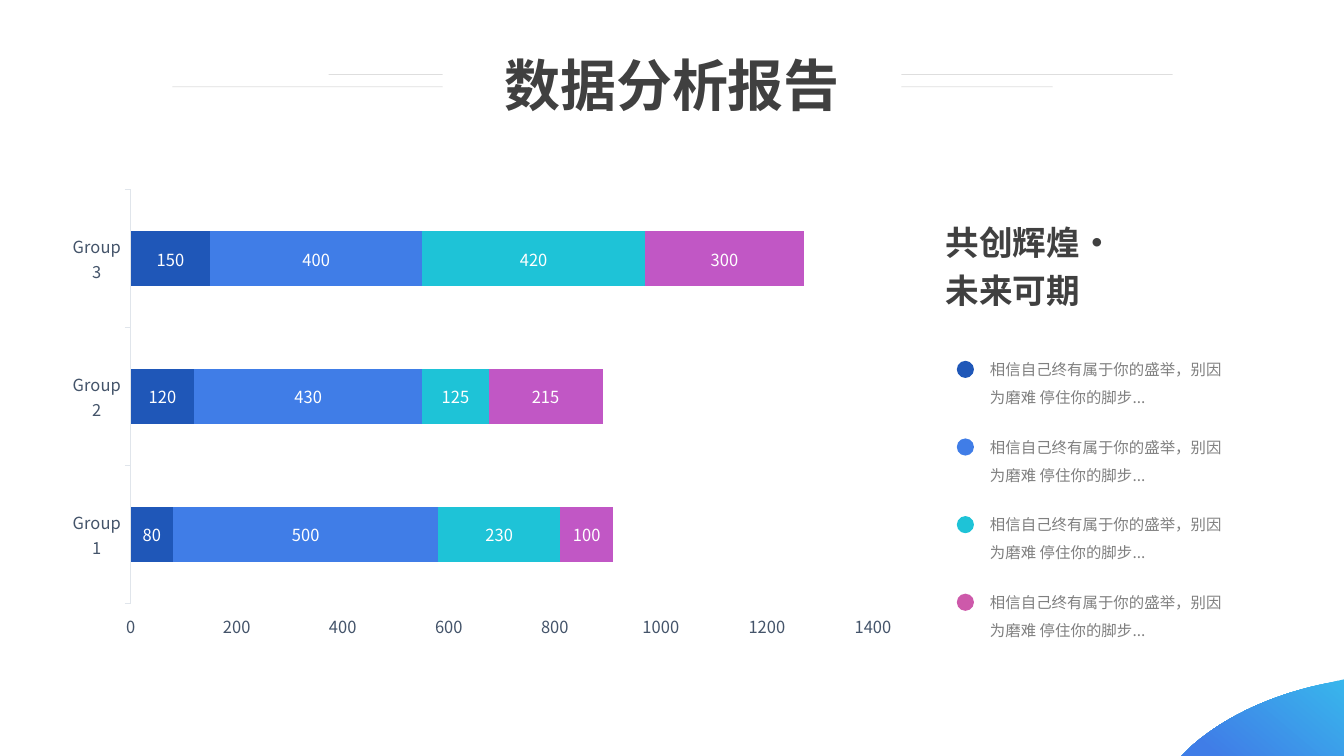
from lxml import etree
from pptx import Presentation
from pptx.chart.data import CategoryChartData
from pptx.dml.color import RGBColor
from pptx.enum.chart import XL_CHART_TYPE as ChartType, XL_LABEL_POSITION as LabelPos
from pptx.enum.chart import XL_TICK_MARK as Tick
from pptx.enum.shapes import MSO_CONNECTOR as Conn, MSO_SHAPE as Shape
from pptx.enum.text import PP_ALIGN as Align
from pptx.oxml import parse_xml
from pptx.oxml.ns import nsdecls, qn
from pptx.util import Inches, Pt

FONT = "Noto Sans CJK SC"
COLORS = {
    "navy": "1F57B8", "blue": "407DE7", "teal": "1EC3D7", "purple": "C157C5",
    "pink": "CD59AA", "sky": "38B6EC", "title": "404040", "body": "808080",
    "axis_text": "44546A", "axis_line": "E0E5EB", "rule": "BFBFBF", "white": "FFFFFF",
}


def rgb(name):
    return RGBColor.from_string(COLORS[name])


def add_text(x, y, w, h, text, size, color, spacing, bold=False, align=Align.LEFT, before=0):
    tf = s.shapes.add_textbox(Inches(x), Inches(y), Inches(w), Inches(h)).text_frame
    tf.word_wrap = True
    tf.text = text
    for i, p in enumerate(tf.paragraphs):
        p.alignment = align
        p.line_spacing = Pt(spacing)
        if i:
            p.space_before = Pt(before)
        for r in p.runs:
            r.font.size, r.font.bold, r.font.name = Pt(size), bold, FONT
            r.font.color.rgb = rgb(color)
            etree.SubElement(r.font._element, qn("a:ea")).set("typeface", FONT)


prs = Presentation()
prs.slide_width, prs.slide_height = Inches(13.33), Inches(7.5)
s = prs.slides.add_slide(prs.slide_layouts[6])

# Corner wave: a Bezier edge sampled as short segments
curve = [(11.82, 7.4), (12.16, 7.1), (12.64, 6.88), (13.2, 6.77)]
edge = []
for step in range(25):
    t = step / 24
    weights = ((1 - t) ** 3, 3 * t * (1 - t) ** 2, 3 * t * t * (1 - t), t ** 3)
    edge.append(tuple(sum(k * pt[axis] for k, pt in zip(weights, curve)) for axis in (0, 1)))
builder = s.shapes.build_freeform(Inches(13.33), Inches(6.74), scale=1.0)
outline = [(13.33, 7.5), (11.72, 7.5)] + edge
builder.add_line_segments([(Inches(x), Inches(y)) for x, y in outline], close=True)
wave = builder.convert_to_shape()
wave.shadow.inherit = False
wave.line.fill.background()
wave.fill.gradient()
wave.fill.gradient_angle = 230
for stop, position, color in zip(wave.fill.gradient_stops, (0, 0.87), ("sky", "blue")):
    stop.position = position
    stop.color.rgb = rgb(color)

# Stacked bar chart
data = CategoryChartData()
data.categories = ["Group 1", "Group 2", "Group 3"]
series_values = [(80, 120, 150), (500, 430, 400), (230, 125, 420), (100, 215, 300)]
for i, values in enumerate(series_values, 1):
    data.add_series(f"Series {i}", values)
chart = s.shapes.add_chart(ChartType.BAR_STACKED, Inches(0.72), Inches(1.79),
                           Inches(8.14), Inches(4.63), data).chart
chart.has_legend = chart.has_title = False
chart.font.name, chart.font.size = FONT, Pt(11.9)
chart.font.color.rgb = rgb("axis_text")
plot = chart.plots[0]
plot.gap_width, plot.overlap, plot.vary_by_categories = 150, 100, False
for series, color in zip(plot.series, ("navy", "blue", "teal", "purple")):
    series.format.fill.solid()
    series.format.fill.fore_color.rgb = rgb(color)
    labels = series.data_labels
    labels.show_value = True
    labels.position = LabelPos.CENTER
    labels.font.name, labels.font.size = FONT, Pt(11.9)
    labels.font.color.rgb = rgb("white")

# Chart axes and plot area
cat_axis, val_axis = chart.category_axis, chart.value_axis
for axis in (cat_axis, val_axis):
    axis.major_tick_mark = Tick.OUTSIDE
    axis.minor_tick_mark = Tick.NONE
    axis.has_major_gridlines = False
cat_axis.format.line.color.rgb = rgb("axis_line")
cat_axis.format.line.width = Pt(0.75)
val_axis.format.line.fill.background()
val_axis.minimum_scale, val_axis.maximum_scale, val_axis.major_unit = 0, 1400, 200
plot_area = chart._chartSpace.chart.plotArea
for old in plot_area.findall(qn("c:layout")):
    plot_area.remove(old)
plot_area.insert(0, parse_xml(
    f'<c:layout {nsdecls("c")}><c:manualLayout><c:layoutTarget val="inner"/>'
    '<c:xMode val="edge"/><c:yMode val="edge"/><c:x val="0.06"/><c:y val="0.02"/>'
    '<c:w val="0.915"/><c:h val="0.886"/></c:manualLayout></c:layout>'))

# Notes with coloured dots
for i, color in enumerate(("navy", "blue", "teal", "pink")):
    y = 3.43 + 0.77 * i
    add_text(9.72, y, 2.58, 0.65, "相信自己终有属于你的盛举，别因为磨难 停住你的脚步...",
             11, "body", 20)
    dot = s.shapes.add_shape(Shape.OVAL, Inches(9.49), Inches(y + 0.15),
                             Inches(0.17), Inches(0.17))
    dot.shadow.inherit = False
    dot.fill.solid()
    dot.fill.fore_color.rgb = rgb(color)
    dot.line.fill.background()

# Headings
add_text(9.28, 2.14, 2.55, 0.99, "共创辉煌·\n未来可期", 24, "title", 30, bold=True, before=4)
add_text(4.79, 0.42, 3.75, 0.77, "数据分析报告", 40, "title", 50, bold=True, align=Align.CENTER)

# Thin rules on both sides of the title
for x1, x2, y in ((4.39, 3.26, 0.74), (4.39, 1.71, 0.86), (11.63, 8.94, 0.74), (10.44, 8.94, 0.86)):
    rule = s.shapes.add_connector(Conn.STRAIGHT, Inches(x1), Inches(y), Inches(x2), Inches(y))
    rule.line.width = Pt(0.5)
    rule.line.color.rgb = rgb("rule")
    tint = rule._element.spPr.find(".//" + qn("a:srgbClr"))
    etree.SubElement(tint, qn("a:alpha")).set("val", "50000")
    etree.SubElement(rule._element.spPr, qn("a:effectLst"))

prs.save("out.pptx")
